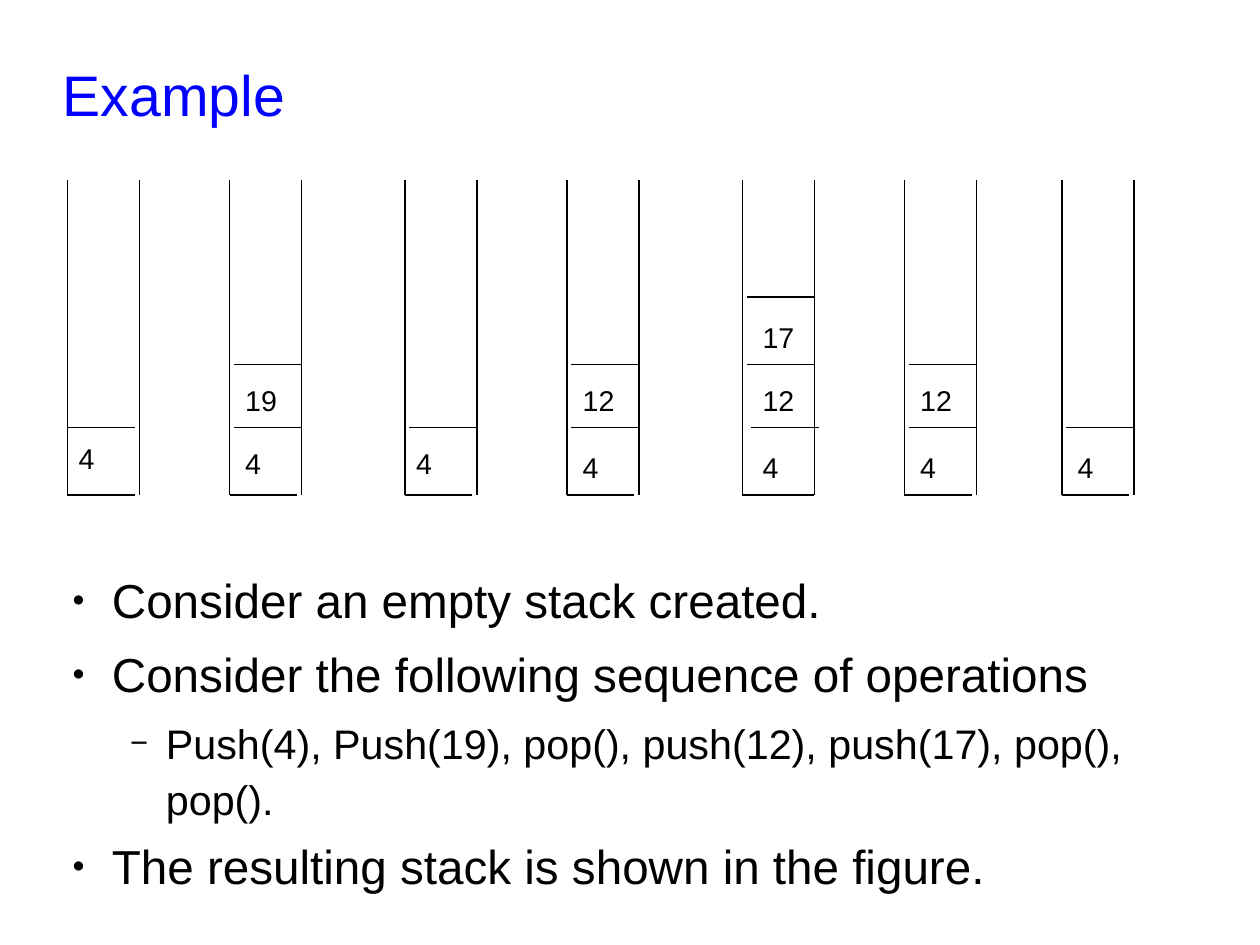
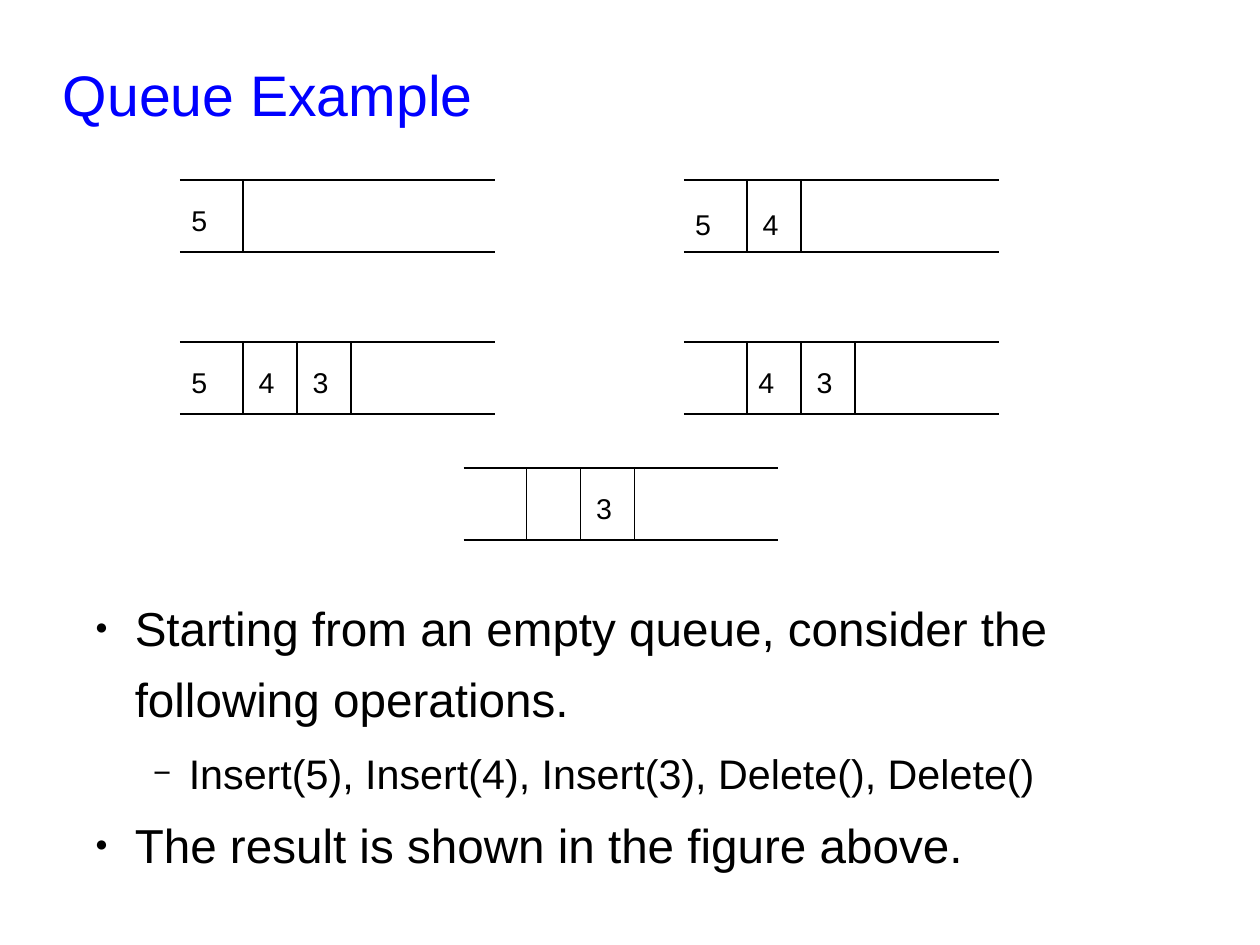
from lxml import etree
from pptx import Presentation
from pptx.dml.color import RGBColor
from pptx.enum import shapes, text
from pptx.oxml.ns import qn
from pptx.util import Pt

BLUE = RGBColor(0x00, 0x00, 0xFF)
BLACK = RGBColor(0x00, 0x00, 0x00)
FONT = "Arial"

# Bullet level: sign, size in percent, left margin, hang, space after, text size
LEVELS = [("●", 45, 33, 25, 5.8, 30), ("−", 75, 67, 22.5, 2.9, 26)]

WALL_TOP, FLOOR, WIDE, BAR = 113.4, 311.8, 45.35, 42.5
TIERS = [269.3, 229.6, 187.1]    # bar above each item, from the floor up
TEXT_Y = [232.4, 192.8]          # label tops above the lowest item

# Stack: left, label shift, top of lowest label, bar shifts, items
STACKS = [
    (42.5, 0, 269.3, [0], ["4"]),
    (144.6, 2.8, 272.1, [2.8, 2.8], ["4", "19"]),
    (255.1, 0, 272.1, [2.8], ["4"]),
    (357.2, 2.8, 275, [2.8, 2.8], ["4", "12"]),
    (467.7, 5.6, 275, [5.6, 2.8, 2.8], ["4", "12", "17"]),
    (569.8, 2.8, 275, [2.8, 2.8], ["4", "12"]),
    (669, 2.8, 275, [2.8], ["4"]),
]

LONG, DEEP = 198.4, 45.35
SPLITS = [39.7, 73.7, 107.7]

# Queue: left, top, number of splits, label drop, labels by shift
QUEUES = [
    (113.4, 113.4, 1, 5.6, {0: "5"}),
    (430.9, 113.4, 2, 8.5, {0: "5", 42.5: "4"}),
    (113.4, 215.4, 3, 5.6, {0: "5", 42.5: "4", 76.5: "3"}),
    (430.9, 215.4, 3, 5.6, {39.7: "4", 76.5: "3"}),
    (292, 294.8, 3, 5.6, {76.5: "3"}),
]


def put(para, words, size=18, color=BLACK, space=1.24, after=0):
    para.line_spacing = space
    para.space_before = Pt(0)
    para.space_after = Pt(after)
    run = para.add_run()
    run.text = words
    run.font.name = FONT
    run.font.size = Pt(size)
    run.font.color.rgb = color


def mark(para, sign, scale, left, hang):
    """Give a paragraph a bullet with a hanging indent."""
    props = para._p.get_or_add_pPr()
    props.set("marL", str(Pt(left)))
    props.set("indent", str(-Pt(hang)))
    tint = etree.SubElement(props, qn("a:buClr"))
    etree.SubElement(tint, qn("a:srgbClr"), val=str(BLACK))
    etree.SubElement(props, qn("a:buSzPct"), val=str(scale * 1000))
    etree.SubElement(props, qn("a:buFont"), typeface=FONT)
    etree.SubElement(props, qn("a:buChar"), char=sign)


def fit(frame, side=0, top=0):
    frame.word_wrap = True
    frame.auto_size = text.MSO_AUTO_SIZE.NONE
    frame.margin_left = frame.margin_right = Pt(side)
    frame.margin_top = frame.margin_bottom = Pt(top)


class Deck:
    def __init__(self):
        self.prs = Presentation()
        self.prs.slide_width, self.prs.slide_height = Pt(793.75), Pt(595.25)
        self.slide = None

    def page(self, title):
        self.slide = self.prs.slides.add_slide(self.prs.slide_layouts[5])
        head = self.slide.shapes.title
        head.left, head.top = Pt(39.6), Pt(23.6)
        head.width, head.height = Pt(713.5), Pt(60.4)
        frame = head.text_frame
        fit(frame)
        frame.vertical_anchor = text.MSO_ANCHOR.MIDDLE
        para = frame.paragraphs[0]
        para.alignment = text.PP_ALIGN.LEFT
        put(para, title, size=36, color=BLUE)

    def box(self, x, y, w, h):
        return self.slide.shapes.add_textbox(
            Pt(x), Pt(y), Pt(w), Pt(h)).text_frame

    def label(self, words, x, y):
        frame = self.box(x, y, 42.5, 34)
        fit(frame, 7.1, 3.5)
        put(frame.paragraphs[0], words)

    def list(self, items, x, y, h, space):
        """Add bullets from (level, words) pairs."""
        frame = self.box(x, y, 713.5, h)
        fit(frame)
        for i, (level, words) in enumerate(items):
            para = frame.add_paragraph() if i else frame.paragraphs[0]
            sign, scale, left, hang, after, size = LEVELS[level]
            para.level = level
            mark(para, sign, scale, left, hang)
            put(para, words, size=size, space=space, after=after)

    def line(self, x1, y1, x2, y2):
        line = self.slide.shapes.add_connector(
            shapes.MSO_CONNECTOR.STRAIGHT, Pt(x1), Pt(y1), Pt(x2), Pt(y2))
        line.line.color.rgb = BLACK
        line.line.width = Pt(0.75)
        etree.SubElement(line._element.spPr, qn("a:effectLst"))

    def bar(self, x, y):
        self.line(x, y, x + BAR, y)

    def stack(self, x, pad, low, shifts, items):
        for wall in (x, x + WIDE):
            self.line(wall, WALL_TOP, wall, FLOOR)
        self.bar(x, FLOOR)
        for item, shift, tier, y in zip(items, shifts, TIERS, [low] + TEXT_Y):
            self.bar(x + shift, tier)
            self.label(item, x + pad, y)

    def queue(self, x, y, count, drop, items):
        for edge in (y, y + DEEP):
            self.line(x, edge, x + LONG, edge)
        for split in SPLITS[:count]:
            self.line(x + split, y, x + split, y + DEEP)
        for shift, item in items.items():
            self.label(item, x + shift, y + drop)


def main():
    deck = Deck()

    deck.page("Example")
    deck.list([
        (0, "Consider an empty stack created."),
        (0, "Consider the following sequence of operations"),
        (1, "Push(4), Push(19), pop(), push(12), push(17), pop(), pop()."),
        (0, "The resulting stack is shown in the figure."),
    ], 37.5, 354.3, 225.4, 1.14)
    for stack in STACKS:
        deck.stack(*stack)
    deck.bar(470.5, FLOOR)

    deck.page("Queue Example")
    deck.list([
        (0, "Starting from an empty queue, consider the following operations."),
        (1, "Insert(5), Insert(4), Insert(3), Delete(), Delete()"),
        (0, "The result is shown in the figure above."),
    ], 51.9, 368.5, 198.7, 1.24)
    for queue in QUEUES:
        deck.queue(*queue)

    deck.prs.save("out.pptx")


if __name__ == "__main__":
    main()
